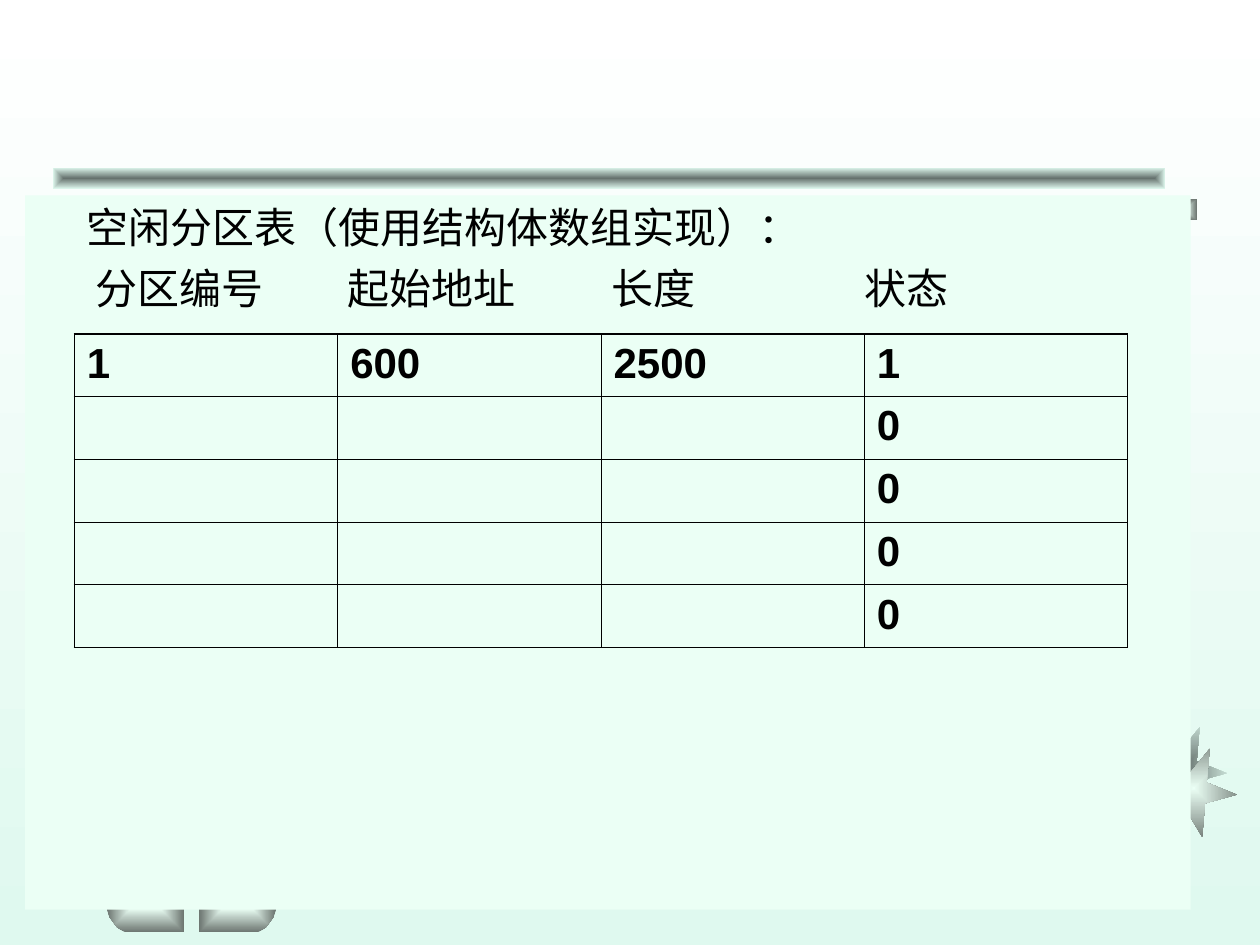
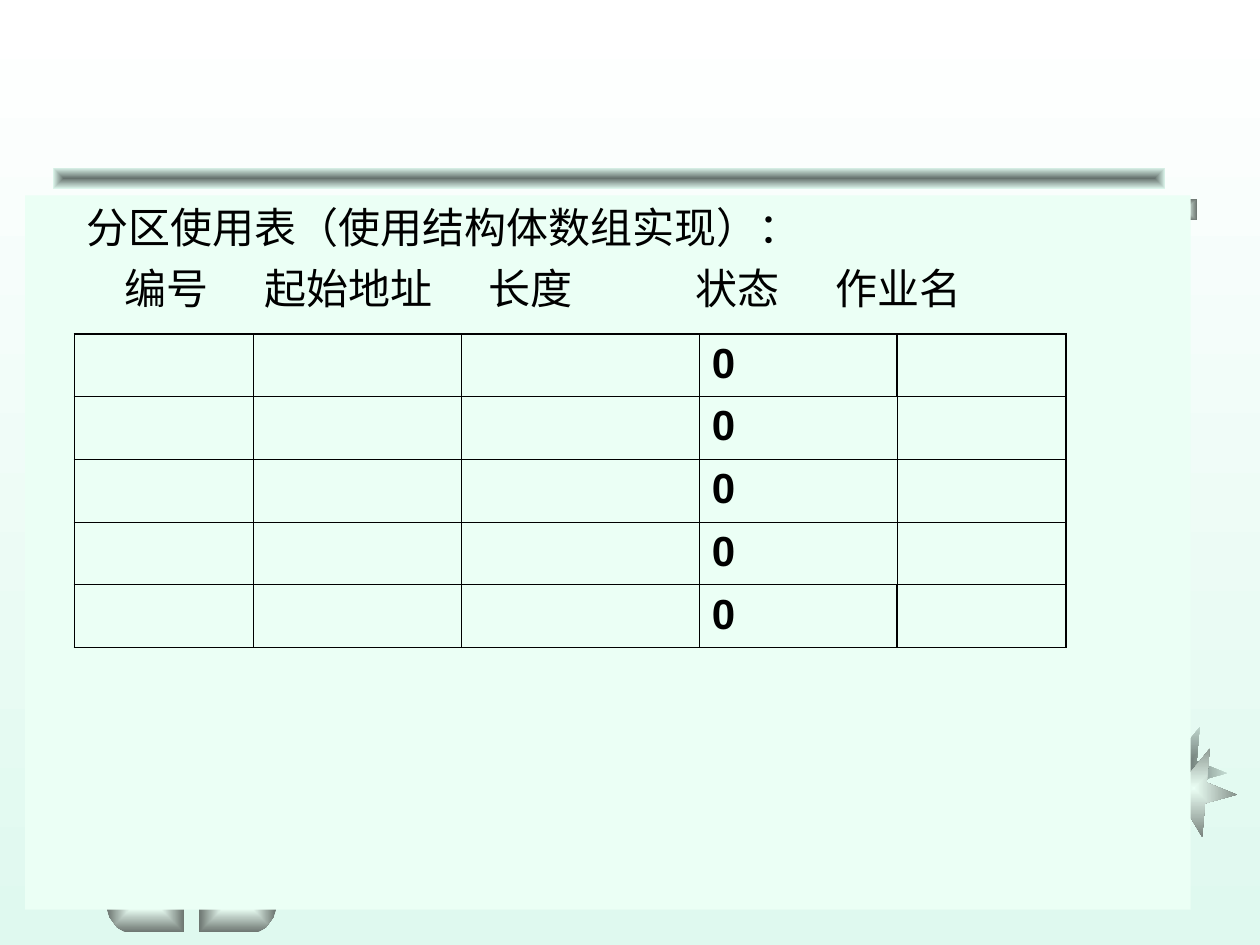
from pptx import Presentation
from pptx.dml.color import RGBColor
from pptx.enum.shapes import MSO_SHAPE
from pptx.enum.text import MSO_ANCHOR, PP_ALIGN
from pptx.oxml.ns import qn
from pptx.util import Inches, Pt
from lxml import etree

RECT, STAR = MSO_SHAPE.RECTANGLE, MSO_SHAPE.STAR_5_POINT
TOP, JUST = MSO_ANCHOR.TOP, PP_ALIGN.JUSTIFY

# Shared look: gradients run from the centre outwards
INK, MINT = "000000", "EBFFF5"
SKY = ("FFFFFF", "DFF9EF")
DARK = ("66726E", "DFF9EF")
PALE = (MINT, "6C7570")
TEXT = {"name": "Arial", "size": Pt(24)}
BOLD = {**TEXT, "bold": True}
THIN, THICK = Pt(0.45), Pt(1.08)

# Rounded tab at the foot; the second one is its mirror image
FOOT = [(1.46, 7.02), (0.99, 7.02), (0.94, 7.04), (0.9, 7.08),
        (0.88, 7.12), (0.86, 7.17), (0.85, 7.22), (0.87, 7.28),
        (0.9, 7.32), (0.93, 7.36), (0.98, 7.39), (1.01, 7.4), (1.46, 7.4)]
AXIS = 1.52


def rgb(code):
    return RGBColor.from_string(code)


def box(at):
    return [Inches(v) for v in at]


def blend(fill, pair):
    fill.gradient()
    for stop, code in zip(fill.gradient_stops, pair):
        stop.color.rgb = rgb(code)


def glow(shape, pair):
    """Fill a shape with a gradient that spreads from its centre."""
    shape.shadow.inherit = False
    shape.line.fill.background()
    blend(shape.fill, pair)
    grad = shape.fill._xPr.find(qn("a:gradFill"))
    grad.remove(grad.find(qn("a:lin")))
    way = etree.SubElement(grad, qn("a:path"), path="rect")
    etree.SubElement(way, qn("a:fillToRect"),
                     {side: "50000" for side in "ltrb"})


def deco(slide, kind, at, pair, turn=0):
    shape = slide.shapes.add_shape(kind, *box(at))
    shape.rotation = turn
    glow(shape, pair)


def foot(slide, points):
    first, *rest = [box(p) for p in points]
    form = slide.shapes.build_freeform(*first)
    form.add_line_segments(rest)
    glow(form.convert_to_shape(), PALE)


def write(para, text, look):
    run = para.add_run()
    run.text = text
    run.font.color.rgb = rgb(INK)
    for key, value in look.items():
        setattr(run.font, key, value)


def base(deck):
    """Add a slide with the shared background and ornaments."""
    slide = deck.slides.add_slide(deck.slide_layouts[6])
    fill = slide.background.fill
    blend(fill, SKY)
    fill.gradient_angle = 270
    deco(slide, STAR, (9.06, 5.75, 0.67, 0.67), DARK, 22)
    deco(slide, STAR, (9.14, 5.92, 0.67, 0.67), PALE, 22)
    deco(slide, RECT, (0.67, 1.58, 8.83, 0.17), PALE)
    deco(slide, RECT, (0.42, 1.33, 8.83, 0.17), DARK)
    foot(slide, FOOT)
    foot(slide, [(2 * AXIS - x, y) for x, y in FOOT])
    return slide


def panel(slide, title, heads, stops):
    """Text panel: a title, then column heads on tab stops."""
    shape = slide.shapes.add_shape(RECT, *box((0.2, 1.55, 9.25, 5.67)))
    shape.shadow.inherit = False
    shape.fill.solid()
    shape.fill.fore_color.rgb = rgb(MINT)
    shape.line.fill.background()
    frame = shape.text_frame
    frame.word_wrap = True
    frame.vertical_anchor = TOP
    frame.margin_left = Inches(0.49)
    line = frame.paragraphs[0]
    row = frame.add_paragraph()
    tabs = etree.SubElement(row._p.get_or_add_pPr(), qn("a:tabLst"))
    for stop in stops:
        etree.SubElement(tabs, qn("a:tab"), pos=str(Inches(stop)), algn="l")
    row.space_before = Pt(6)
    line.alignment = row.alignment = JUST
    write(line, title, TEXT)
    write(row, "".join("\t" + head for head in heads), TEXT)


def edge(cell, side, width):
    line = etree.SubElement(cell._tc.get_or_add_tcPr(), qn("a:ln" + side),
                            w=str(width))
    fill = etree.SubElement(line, qn("a:solidFill"))
    etree.SubElement(fill, qn("a:srgbClr"), val=INK)


def grid(slide, widths, rows, heavy=()):
    """Table with a thick frame; heavy lists cells with a thick right edge."""
    last, end = len(rows) - 1, len(widths) - 1
    at = box((0.59, 2.65, sum(widths), 2.49))
    table = slide.shapes.add_table(last + 1, end + 1, *at).table
    table.first_row = table.horz_banding = False
    for col, width in zip(table.columns, widths):
        col.width = Inches(width)
    for r, row in enumerate(rows):
        for c, text in enumerate(row):
            cell = table.cell(r, c)
            bold = {"L": c == 0 or (r, c - 1) in heavy,
                    "R": c == end or (r, c) in heavy,
                    "T": r == 0, "B": r == last}
            for side, on in bold.items():
                edge(cell, side, THICK if on else THIN)
            cell.fill.background()
            if text:
                write(cell.text_frame.paragraphs[0], text, BOLD)


def main():
    deck = Presentation()
    deck.slide_width, deck.slide_height = Inches(10), Inches(7.5)

    # Free partitions
    slide = base(deck)
    panel(slide, "空闲分区表（使用结构体数组实现）：",
          ["分区编号", "起始地址", "长度", "状态"],
          [0.07, 2.07, 4.16, 6.17])
    grid(slide, [2.09] * 4,
         [["1", "600", "2500", "1"]] + [["", "", "", "0"]] * 4)

    # Partitions in use
    slide = base(deck)
    panel(slide, "分区使用表（使用结构体数组实现）：",
          ["编号", "起始地址", "长度", "状态", "作业名"],
          [0.3, 1.41, 3.19, 4.83, 5.94])
    grid(slide, [1.42, 1.65, 1.89, 1.57, 1.34],
         [["", "", "", "0", ""]] * 5, heavy={(0, 3), (4, 3)})

    deck.save("out.pptx")


if __name__ == "__main__":
    main()
